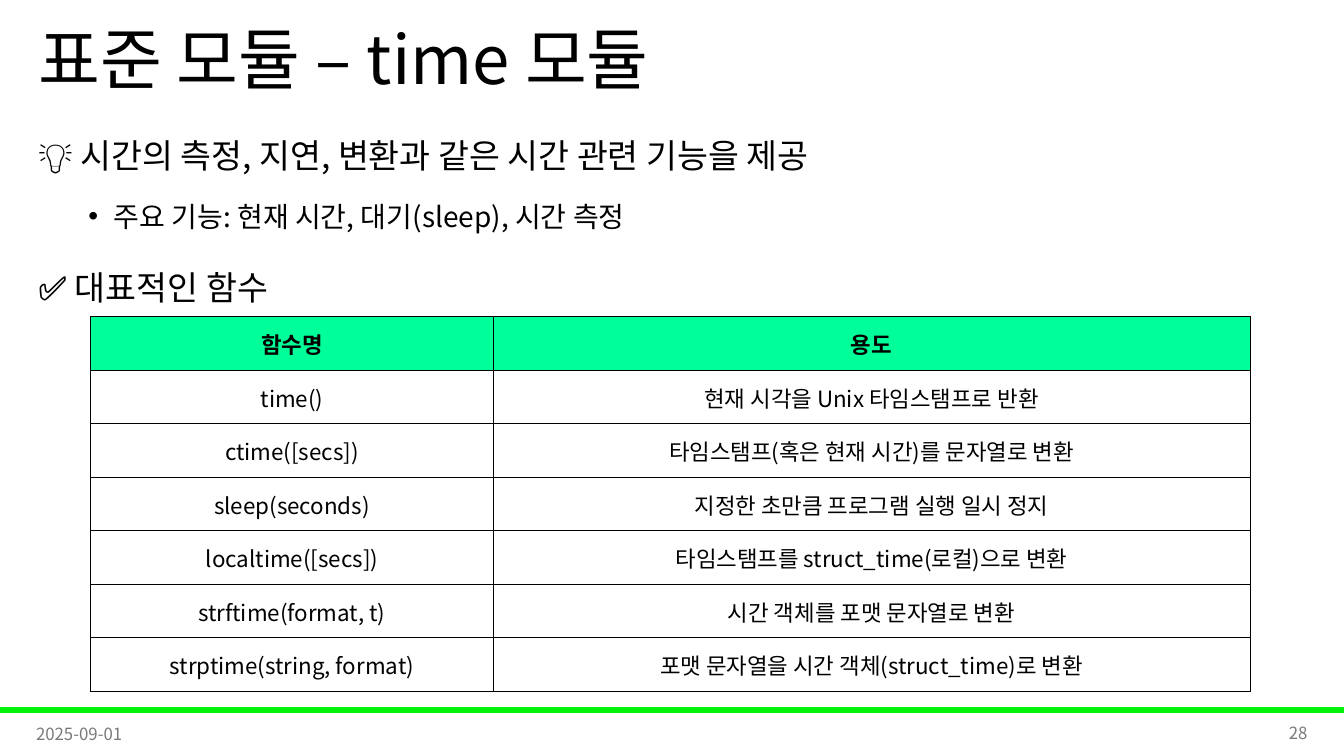
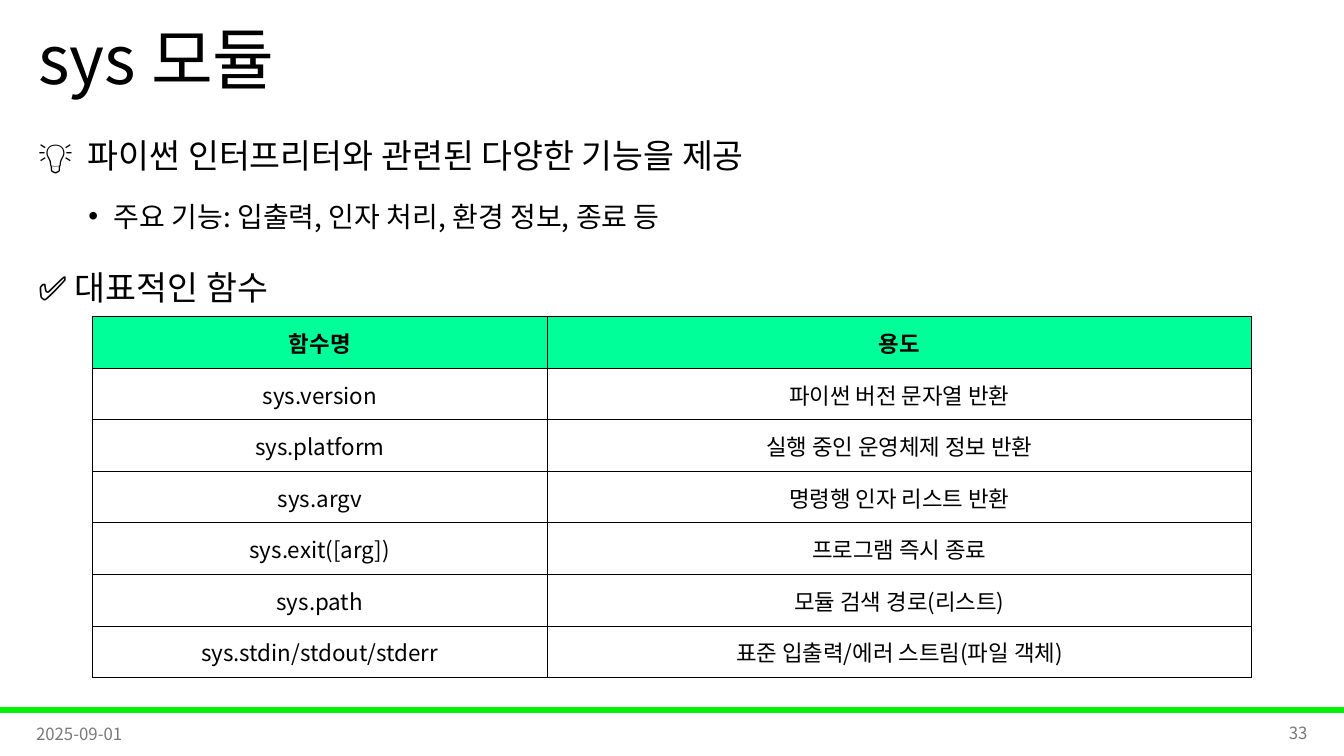
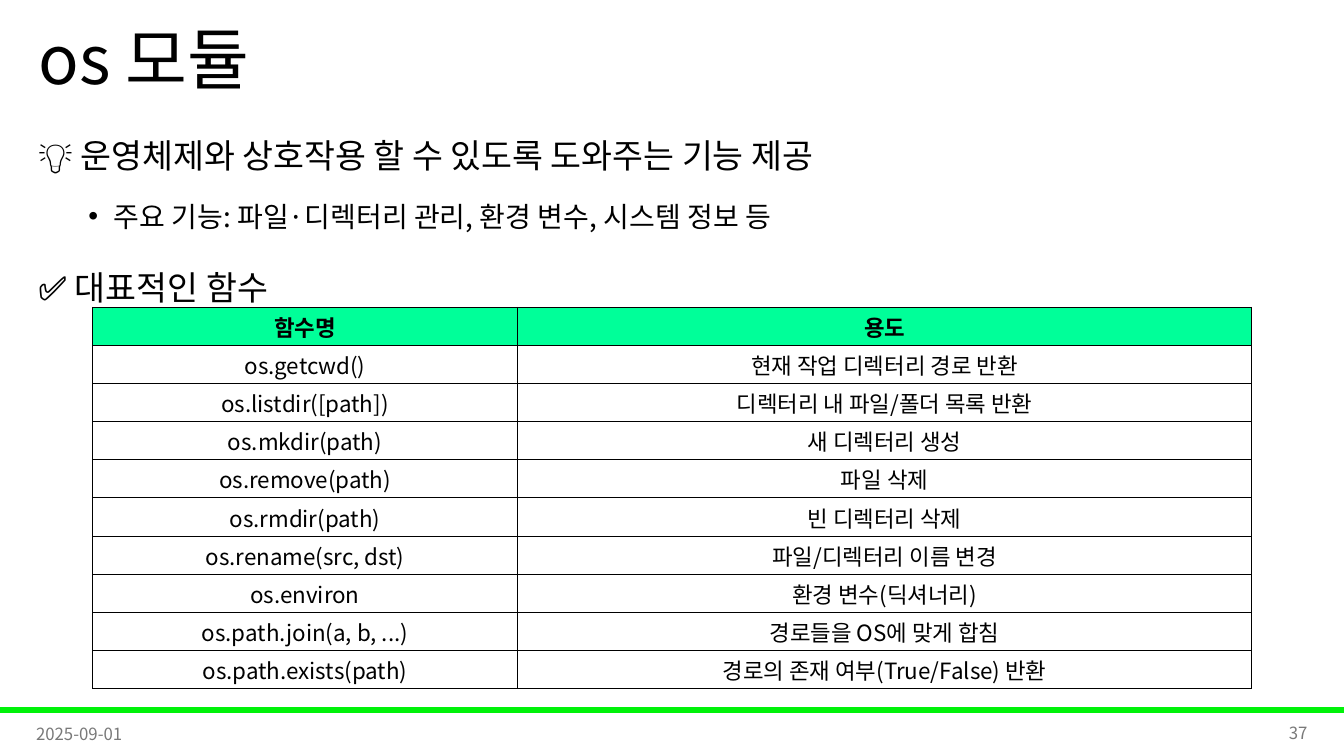
from dataclasses import dataclass

from lxml import etree
from pptx import Presentation
from pptx.dml.color import RGBColor
from pptx.enum.shapes import MSO_SHAPE
from pptx.enum.text import MSO_ANCHOR, MSO_AUTO_SIZE, PP_ALIGN
from pptx.oxml.ns import qn
from pptx.util import Pt

LEFT, CENTER, RIGHT = PP_ALIGN.LEFT, PP_ALIGN.CENTER, PP_ALIGN.RIGHT
MIDDLE = MSO_ANCHOR.MIDDLE
NO_AUTOFIT = MSO_AUTO_SIZE.NONE
RECTANGLE = MSO_SHAPE.RECTANGLE
TITLE_ONLY = 5


@dataclass(frozen=True)
class Theme:
    font: str = "Noto Sans CJK KR"
    text: RGBColor = RGBColor(0x00, 0x00, 0x00)
    muted: RGBColor = RGBColor(0x79, 0x79, 0x79)
    band: RGBColor = RGBColor(0x00, 0xF2, 0x09)
    header: RGBColor = RGBColor(0x00, 0xFF, 0x99)
    title_size: int = 48
    topic_size: int = 24
    detail_size: int = 20
    table_size: int = 16
    footer_size: int = 12


THEME = Theme()
SLIDE_WIDTH, SLIDE_HEIGHT = 960, 540
CONTENT_LEFT, CONTENT_WIDTH = 20.16, 828
CELL_INSET = 0.72
BORDER_WIDTH = 0.5
DATE = "2025-09-01"
FUNCTIONS_HEADING = "✅ 대표적인 함수"
TABLE_HEADER = ("함수명", "용도")


@dataclass(frozen=True)
class FunctionTable:
    left: float
    top: float
    height: float
    name_width: float
    rows: tuple[tuple[str, str], ...]


@dataclass(frozen=True)
class ModuleSlide:
    number: int
    title: str
    summary: str
    features: str
    functions: FunctionTable


MODULES = (
    ModuleSlide(
        28,
        "표준 모듈 – time 모듈",
        "💡 시간의 측정, 지연, 변환과 같은 시간 관련 기능을 제공",
        "주요 기능: 현재 시간, 대기(sleep), 시간 측정",
        FunctionTable(64.8, 226.1, 267.8, 287.5, (
            ("time()", "현재 시각을 Unix 타임스탬프로 반환"),
            ("ctime([secs])", "타임스탬프(혹은 현재 시간)를 문자열로 변환"),
            ("sleep(seconds)", "지정한 초만큼 프로그램 실행 일시 정지"),
            ("localtime([secs])", "타임스탬프를 struct_time(로컬)으로 변환"),
            ("strftime(format, t)", "시간 객체를 포맷 문자열로 변환"),
            ("strptime(string, format)", "포맷 문자열을 시간 객체(struct_time)로 변환"),
        )),
    ),
    ModuleSlide(
        33,
        "sys 모듈",
        "💡  파이썬 인터프리터와 관련된 다양한 기능을 제공",
        "주요 기능: 입출력, 인자 처리, 환경 정보, 종료 등",
        FunctionTable(66.2, 226.1, 257.8, 324.5, (
            ("sys.version", "파이썬 버전 문자열 반환"),
            ("sys.platform", "실행 중인 운영체제 정보 반환"),
            ("sys.argv", "명령행 인자 리스트 반환"),
            ("sys.exit([arg])", "프로그램 즉시 종료"),
            ("sys.path", "모듈 검색 경로(리스트)"),
            ("sys.stdin/stdout/stderr", "표준 입출력/에러 스트림(파일 객체)"),
        )),
    ),
    ModuleSlide(
        37,
        "os 모듈",
        "💡 운영체제와 상호작용 할 수 있도록 도와주는 기능 제공",
        "주요 기능: 파일·디렉터리 관리, 환경 변수, 시스템 정보 등",
        FunctionTable(66.2, 219.5, 272.3, 303.4, (
            ("os.getcwd()", "현재 작업 디렉터리 경로 반환"),
            ("os.listdir([path])", "디렉터리 내 파일/폴더 목록 반환"),
            ("os.mkdir(path)", "새 디렉터리 생성"),
            ("os.remove(path)", "파일 삭제"),
            ("os.rmdir(path)", "빈 디렉터리 삭제"),
            ("os.rename(src, dst)", "파일/디렉터리 이름 변경"),
            ("os.environ", "환경 변수(딕셔너리)"),
            ("os.path.join(a, b, ...)", "경로들을 OS에 맞게 합침"),
            ("os.path.exists(path)", "경로의 존재 여부(True/False) 반환"),
        )),
    ),
)


def set_text(paragraph, text: str, size: int, color: RGBColor = THEME.text,
             align: PP_ALIGN = LEFT, bold: bool = False) -> None:
    paragraph.text = text
    paragraph.alignment = align
    font = paragraph.font
    font.name, font.size, font.bold = THEME.font, Pt(size), bold
    font.color.rgb = color
    latin = paragraph._p.pPr.find(qn("a:defRPr")).find(qn("a:latin"))
    latin.addnext(latin.makeelement(qn("a:ea"), {"typeface": THEME.font}))


def add_bullet(paragraph) -> None:
    paragraph.level = 1
    properties = paragraph._p.get_or_add_pPr()
    properties.set("marL", str(Pt(54)))
    properties.set("indent", str(Pt(-18)))
    etree.SubElement(properties, qn("a:buFont"), typeface="Arial")
    etree.SubElement(properties, qn("a:buChar"), char="•")


def add_text_frame(slide, left: float, top: float, width: float, height: float):
    frame = slide.shapes.add_textbox(Pt(left), Pt(top), Pt(width), Pt(height)).text_frame
    frame.word_wrap = True
    return frame


def add_title(slide, text: str) -> None:
    title = slide.shapes.title
    title.left, title.top = Pt(CONTENT_LEFT), Pt(0)
    title.width, title.height = Pt(CONTENT_WIDTH), Pt(90)
    frame = title.text_frame
    frame.auto_size = NO_AUTOFIT
    frame.vertical_anchor = MIDDLE
    heading = frame.paragraphs[0]
    heading.line_spacing = 0.9
    set_text(heading, text, THEME.title_size)


def add_footer(slide, number: int) -> None:
    band = slide.shapes.add_shape(RECTANGLE, Pt(0), Pt(505.5), Pt(SLIDE_WIDTH), Pt(3.6))
    band.shadow.inherit = False
    band.fill.solid()
    band.fill.fore_color.rgb = THEME.band
    band.line.color.rgb = THEME.band
    band.line.width = Pt(1)
    for left, top, text, align in ((18.7, 509.8, DATE, LEFT), (725, 509, str(number), RIGHT)):
        frame = add_text_frame(slide, left, top, 216, 28.8)
        frame.vertical_anchor = MIDDLE
        set_text(frame.paragraphs[0], text, THEME.footer_size, THEME.muted, align)


def add_overview(slide, module: ModuleSlide) -> None:
    frame = add_text_frame(slide, CONTENT_LEFT, 78.5, CONTENT_WIDTH, 147.6)
    lines = (
        (module.summary, False),
        (module.features, True),
        (FUNCTIONS_HEADING, False),
    )
    for index, (text, is_detail) in enumerate(lines):
        paragraph = frame.add_paragraph() if index else frame.paragraphs[0]
        paragraph.line_spacing = 1.5
        paragraph.space_before = Pt(5 if is_detail else 10)
        if is_detail:
            add_bullet(paragraph)
        set_text(paragraph, text, THEME.detail_size if is_detail else THEME.topic_size)


def add_borders(cell) -> None:
    properties = cell._tc.get_or_add_tcPr()
    for side in ("lnL", "lnR", "lnT", "lnB"):
        line = etree.SubElement(properties, qn(f"a:{side}"), w=str(Pt(BORDER_WIDTH)))
        fill = etree.SubElement(line, qn("a:solidFill"))
        etree.SubElement(fill, qn("a:srgbClr"), val=str(THEME.text))


def format_cell(cell, text: str, is_header: bool) -> None:
    cell.margin_left = cell.margin_right = cell.margin_top = Pt(CELL_INSET)
    cell.margin_bottom = Pt(0)
    cell.vertical_anchor = MIDDLE
    add_borders(cell)
    if is_header:
        cell.fill.solid()
        cell.fill.fore_color.rgb = THEME.header
    else:
        cell.fill.background()
    set_text(cell.text_frame.paragraphs[0], text, THEME.table_size, align=CENTER, bold=is_header)


def add_function_table(slide, functions: FunctionTable) -> None:
    rows = (TABLE_HEADER, *functions.rows)
    table = slide.shapes.add_table(
        len(rows), len(TABLE_HEADER), Pt(functions.left), Pt(functions.top),
        Pt(CONTENT_WIDTH), Pt(functions.height)).table
    table.horz_banding = False
    table.columns[0].width = Pt(functions.name_width)
    table.columns[1].width = Pt(CONTENT_WIDTH - functions.name_width)
    for row_index, row in enumerate(rows):
        for column_index, text in enumerate(row):
            format_cell(table.cell(row_index, column_index), text, row_index == 0)


def main() -> None:
    deck = Presentation()
    deck.slide_width, deck.slide_height = Pt(SLIDE_WIDTH), Pt(SLIDE_HEIGHT)
    for module in MODULES:
        slide = deck.slides.add_slide(deck.slide_layouts[TITLE_ONLY])
        add_title(slide, module.title)
        add_footer(slide, module.number)
        add_overview(slide, module)
        add_function_table(slide, module.functions)
    deck.save("out.pptx")


if __name__ == "__main__":
    main()
